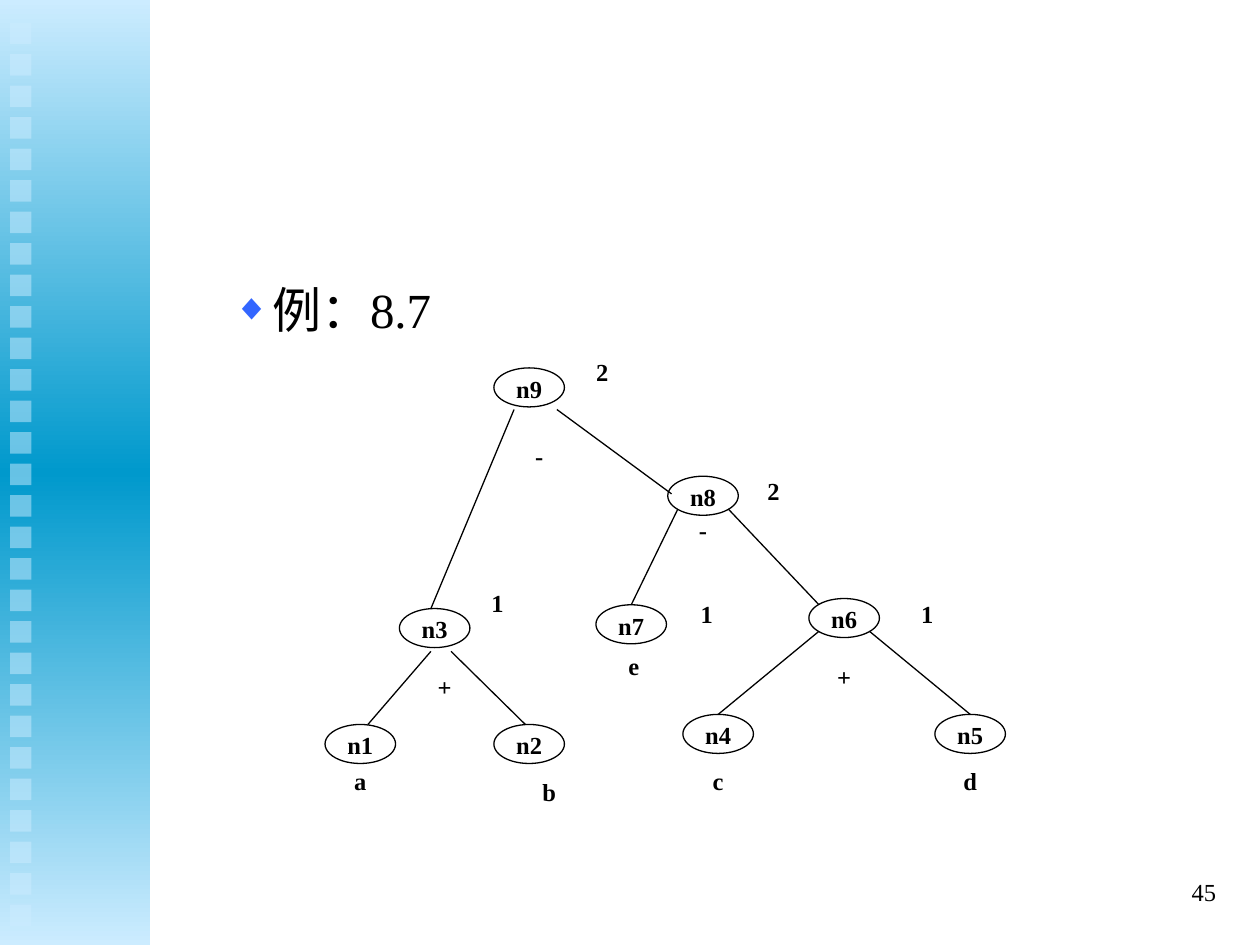
from copy import deepcopy
from dataclasses import dataclass

from lxml.etree import SubElement
from pptx import Presentation
from pptx.dml.color import RGBColor
from pptx.enum.shapes import MSO_CONNECTOR, MSO_SHAPE
from pptx.enum.text import MSO_ANCHOR, MSO_AUTO_SIZE, PP_ALIGN
from pptx.oxml.ns import qn
from pptx.util import Inches, Pt


@dataclass(frozen=True)
class Theme:
    font: str = "Times New Roman"
    ink: str = "000000"
    paper: str = "FFFFFF"
    pale: str = "CCECFF"
    deep: str = "0099CC"
    bullet: str = "3366FF"
    body_size: int = 28
    small_size: int = 14
    line_width: float = 0.75


THEME = Theme()
NODE_SIZE = (0.56, 0.31)
LABEL_SIZE = (0.56, 0.21)

# Node name: left, top in inches
NODES = {
    "n9": (3.92, 2.92),
    "n8": (5.3, 3.78),
    "n3": (3.17, 4.83),
    "n7": (4.73, 4.8),
    "n6": (6.42, 4.75),
    "n1": (2.58, 5.75),
    "n2": (3.92, 5.75),
    "n4": (5.42, 5.67),
    "n5": (7.42, 5.67),
}
# Start and end of each branch, parent to child
BRANCHES = [
    ((4.08, 3.25), (3.42, 4.83)),
    ((4.42, 3.25), (5.33, 3.92)),
    ((5.38, 4.04), (5.01, 4.8)),
    ((5.78, 4.04), (6.5, 4.8)),
    ((3.42, 5.17), (2.92, 5.75)),
    ((3.58, 5.17), (4.17, 5.75)),
    ((6.5, 5.01), (5.7, 5.67)),
    ((6.9, 5.01), (7.7, 5.67)),
]
# Label text: places where it stands
LABELS = {
    "-": [(4, 3.5), (5.3, 4.09)],
    "+": [(3.25, 5.33), (6.42, 5.25)],
    "2": [(4.5, 2.83), (5.86, 3.78)],
    "1": [(3.67, 4.67), (5.33, 4.75), (7.08, 4.75)],
    "a": [(2.58, 6.08)],
    "b": [(4.08, 6.17)],
    "c": [(5.42, 6.08)],
    "d": [(7.42, 6.08)],
    "e": [(4.75, 5.17)],
}


def color(value):
    return RGBColor.from_string(value)


def inches(*lengths):
    return [Inches(length) for length in lengths]


def write(box, text, size, align, bold=False, margins=(0, 0), anchor=MSO_ANCHOR.TOP):
    """Fill a shape with one formatted paragraph and return the paragraph."""
    frame = box.text_frame
    side, edge = inches(*margins)
    settings = {
        "word_wrap": True, "auto_size": MSO_AUTO_SIZE.NONE, "vertical_anchor": anchor,
        "margin_left": side, "margin_right": side, "margin_top": edge, "margin_bottom": edge,
    }
    for name, value in settings.items():
        setattr(frame, name, value)
    para = frame.paragraphs[0]
    para.alignment = align
    span = para.add_run()
    span.text = text
    for name, value in {"name": THEME.font, "size": Pt(size), "bold": bold}.items():
        setattr(span.font, name, value)
    span.font.color.rgb = color(THEME.ink)
    return para


def add_filled(page, kind, place, fill):
    shape = page.shapes.add_shape(kind, *inches(*place))
    shape.shadow.inherit = False
    shape.fill.solid()
    shape.fill.fore_color.rgb = color(fill)
    shape.line.fill.background()
    return shape


def add_side_band(page):
    band = add_filled(page, MSO_SHAPE.RECTANGLE, (0, 0, 1.19, 7.5), THEME.pale)
    band.fill.gradient()
    band.fill.gradient_angle = 90
    stops = band._element.spPr.find(qn("a:gradFill")).find(qn("a:gsLst"))
    stops.insert(1, deepcopy(stops[0]))
    shades = [(0, THEME.pale), (0.5, THEME.deep), (1, THEME.pale)]
    for stop, (position, shade) in zip(band.fill.gradient_stops, shades):
        stop.position = position
        stop.color.rgb = color(shade)
    for row in range(29):
        place = (0.08, 0.18 + 0.25 * row, 0.17, 0.17)
        square = add_filled(page, MSO_SHAPE.RECTANGLE, place, THEME.pale)
        tint = square._element.spPr.find(qn("a:solidFill"))[0]
        SubElement(tint, qn("a:alpha"), val="50000")


def add_body(page, text):
    body = page.placeholders[1]
    body.left, body.top, body.width, body.height = inches(1.25, 2.17, 8.5, 4.5)
    para = write(body, text, THEME.body_size, PP_ALIGN.LEFT, margins=(0.1, 0.05))
    para.space_before = Pt(7)
    props = para._p.get_or_add_pPr()
    props.set("marL", str(Inches(0.81)))
    props.set("indent", str(Inches(-0.31)))
    SubElement(SubElement(props, qn("a:buClr")), qn("a:srgbClr"), val=THEME.bullet)
    SubElement(props, qn("a:buSzPct"), val="75000")
    SubElement(props, qn("a:buFont"), typeface=THEME.font)
    SubElement(props, qn("a:buChar"), char="◆")


def add_node(page, name, place):
    node = add_filled(page, MSO_SHAPE.OVAL, (*place, *NODE_SIZE), THEME.paper)
    node.line.color.rgb = color(THEME.ink)
    node.line.width = Pt(THEME.line_width)
    write(node, name, THEME.small_size, PP_ALIGN.CENTER, bold=True)


def add_branch(page, start, end):
    branch = page.shapes.add_connector(MSO_CONNECTOR.STRAIGHT, *inches(*start, *end))
    branch.line.color.rgb = color(THEME.ink)
    branch.line.width = Pt(THEME.line_width)
    SubElement(branch._element.spPr, qn("a:effectLst"))


def add_label(page, text, place):
    box = page.shapes.add_textbox(*inches(*place, *LABEL_SIZE))
    write(box, text, THEME.small_size, PP_ALIGN.CENTER, bold=True)


def add_page_number(page, number):
    box = page.shapes.add_textbox(*inches(7.67, 6.83, 2.08, 0.5))
    write(box, number, THEME.small_size, PP_ALIGN.RIGHT,
          margins=(0.1, 0.05), anchor=MSO_ANCHOR.MIDDLE)


def main():
    deck = Presentation()
    deck.slide_width, deck.slide_height = inches(10, 7.5)
    page = deck.slides.add_slide(deck.slide_layouts[1])
    title = page.shapes.title._element
    title.getparent().remove(title)

    add_side_band(page)
    add_body(page, "例：8.7")
    for name, place in NODES.items():
        add_node(page, name, place)
    for start, end in BRANCHES:
        add_branch(page, start, end)
    for text, places in LABELS.items():
        for place in places:
            add_label(page, text, place)
    add_page_number(page, "45")
    deck.save("out.pptx")


if __name__ == "__main__":
    main()
